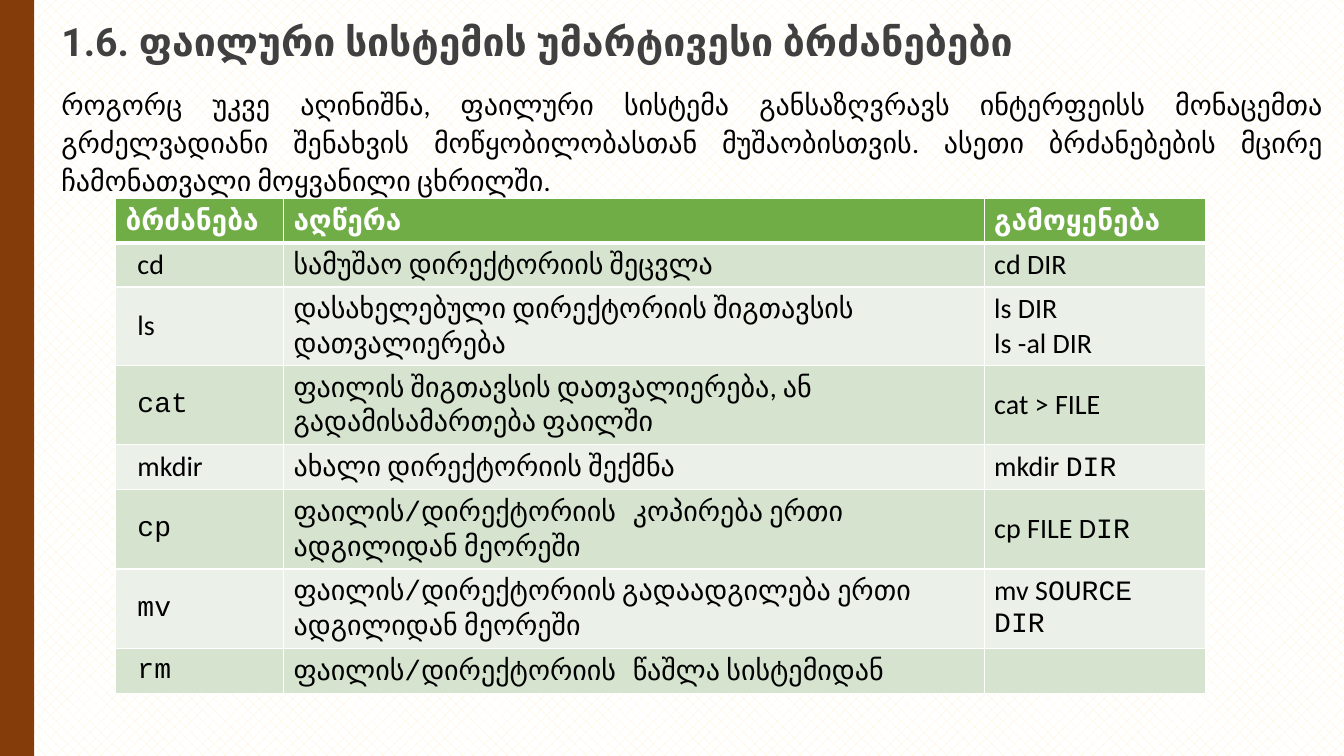
from dataclasses import dataclass

from pptx import Presentation
from pptx.dml.color import RGBColor
from pptx.enum.dml import MSO_PATTERN
from pptx.enum.shapes import MSO_SHAPE
from pptx.enum.text import MSO_ANCHOR as Anchor, PP_ALIGN as Align
from pptx.oxml import parse_xml
from pptx.oxml.ns import nsdecls
from pptx.util import Pt


@dataclass(frozen=True)
class Theme:
    sans: str = "Calibri"
    mono: str = "Courier New"
    heading: str = "Roboto"
    title_size: int = 28
    body_size: int = 20
    title: str = "404040"
    ink: str = "000000"
    white: str = "FFFFFF"
    cream: str = "FFF2CC"
    stripe: str = "843C0B"
    header: str = "70AD47"
    bands: tuple = ("D5E3CF", "EBF1E9")


THEME = Theme()
rgb = RGBColor.from_string

TITLE = "1.6. ფაილური სისტემის უმარტივესი ბრძანებები"
INTRO = ("როგორც უკვე აღინიშნა, ფაილური სისტემა განსაზღვრავს ინტერფეისს მონაცემთა "
         "გრძელვადიანი შენახვის მოწყობილობასთან მუშაობისთვის. ასეთი ბრძანებების მცირე "
         "ჩამონათვალი მოყვანილი ცხრილში.")
HEADINGS = ("ბრძანება", "აღწერა", "გამოყენება")
# Text between backticks is set in the monospaced font
COMMANDS = (
    ("cd", "სამუშაო დირექტორიის შეცვლა", "cd DIR"),
    ("ls", "დასახელებული დირექტორიის შიგთავსის დათვალიერება", "ls DIR\nls -al DIR"),
    ("`cat`", "ფაილის შიგთავსის დათვალიერება, ან გადამისამართება ფაილში", "cat > FILE"),
    ("mkdir", "ახალი დირექტორიის შექმნა", "mkdir `DIR`"),
    ("`cp`", "ფაილის`/`დირექტორიის` `კოპირება ერთი ადგილიდან მეორეში", "cp FILE D`IR`"),
    ("`mv`", "ფაილის`/`დირექტორიის გადაადგილება ერთი ადგილიდან მეორეში",
     "mv S`OURCE DIR`"),
    ("`rm`", "ფაილის`/`დირექტორიის` `წაშლა სისტემიდან", ""),
)
COLUMN_WIDTHS = (120, 500.5, 158.5)
ROW_HEIGHTS = (31.5, 31.5, 56.25, 56.25, 32, 57, 57, 32)


def write(frame, text, *, font=THEME.sans, size=THEME.body_size, color=THEME.ink,
          bold=False, align=Align.LEFT, spacing=None, after=None, indent=0):
    """Fill a text frame: one paragraph a line, backticks switch to monospace."""
    for number, line in enumerate(text.split("\n")):
        paragraph = frame.add_paragraph() if number else frame.paragraphs[0]
        paragraph.alignment = align
        paragraph.font.size = Pt(size)
        if spacing:
            paragraph.line_spacing = spacing
        if after is not None:
            paragraph.space_after = Pt(after)
        if indent:
            paragraph._p.get_or_add_pPr().set("marL", str(Pt(indent)))
        for part, words in enumerate(line.split("`")):
            if words:
                run = paragraph.add_run()
                run.text = words
                run.font.name = THEME.mono if part % 2 else font
                run.font.size = Pt(size)
                run.font.bold = bold
                run.font.color.rgb = rgb(color)


def add_text(slide, box, text, anchor=Anchor.TOP, **style):
    frame = slide.shapes.add_textbox(*map(Pt, box)).text_frame
    frame.word_wrap = True
    frame.vertical_anchor = anchor
    write(frame, text, **style)


def add_backdrop(slide, box):
    # Patterned background
    fill = slide.background.fill
    fill.patterned()
    fill.pattern = MSO_PATTERN.PERCENT_25
    fill.fore_color.rgb = rgb(THEME.cream)
    fill.back_color.rgb = rgb(THEME.white)
    # Stripe along the left edge
    stripe = slide.shapes.add_shape(MSO_SHAPE.RECTANGLE, *map(Pt, box))
    stripe.shadow.inherit = False
    stripe.fill.solid()
    stripe.fill.fore_color.rgb = rgb(THEME.stripe)
    stripe.line.fill.background()


def add_heading(slide, box):
    left, top, width, height = box
    title_height = 34.5
    add_text(slide, (left, top, width, title_height), TITLE, Anchor.MIDDLE,
             font=THEME.heading, size=THEME.title_size, color=THEME.title,
             bold=True, spacing=0.9)
    intro_top = 41.75
    add_text(slide, (left, top + intro_top, width, height - intro_top), INTRO,
             align=Align.JUSTIFY, spacing=1.14, after=6)


def style_cell(cell, color, bottom=1):
    cell.fill.solid()
    cell.fill.fore_color.rgb = rgb(color)
    borders = (("L", 1), ("R", 1), ("T", 1), ("B", bottom))
    for position, (side, weight) in enumerate(borders):
        cell._tc.get_or_add_tcPr().insert(position, parse_xml(
            f'<a:ln{side} {nsdecls("a")} w="{Pt(weight)}"><a:solidFill>'
            f'<a:srgbClr val="{THEME.white}"/></a:solidFill></a:ln{side}>'))


def add_commands(slide, box):
    table = slide.shapes.add_table(len(COMMANDS) + 1, len(HEADINGS),
                                   *map(Pt, box)).table
    for column, width in zip(table.columns, COLUMN_WIDTHS):
        column.width = Pt(width)
    for row, height in zip(table.rows, ROW_HEIGHTS):
        row.height = Pt(height)
    # Header row
    for column, heading in enumerate(HEADINGS):
        cell = table.cell(0, column)
        style_cell(cell, THEME.header, bottom=3)
        write(cell.text_frame, heading, color=THEME.white, bold=True)
    # One banded row for each command
    for row, command in enumerate(COMMANDS, 1):
        for column, text in enumerate(command):
            cell = table.cell(row, column)
            style_cell(cell, THEME.bands[(row - 1) % 2])
            raised = text.startswith("mv ")
            cell.vertical_anchor = Anchor.TOP if raised else Anchor.MIDDLE
            write(cell.text_frame, text, indent=0 if column else 8.5)


def main():
    deck = Presentation()
    deck.slide_width, deck.slide_height = Pt(960), Pt(540)
    slide = deck.slides.add_slide(deck.slide_layouts[6])
    add_backdrop(slide, (0, 0, 24.5, 540))
    add_heading(slide, (36.75, 13.75, 915, 149))
    add_commands(slide, (82.5, 142, sum(COLUMN_WIDTHS), sum(ROW_HEIGHTS)))
    deck.save("out.pptx")


if __name__ == "__main__":
    main()
